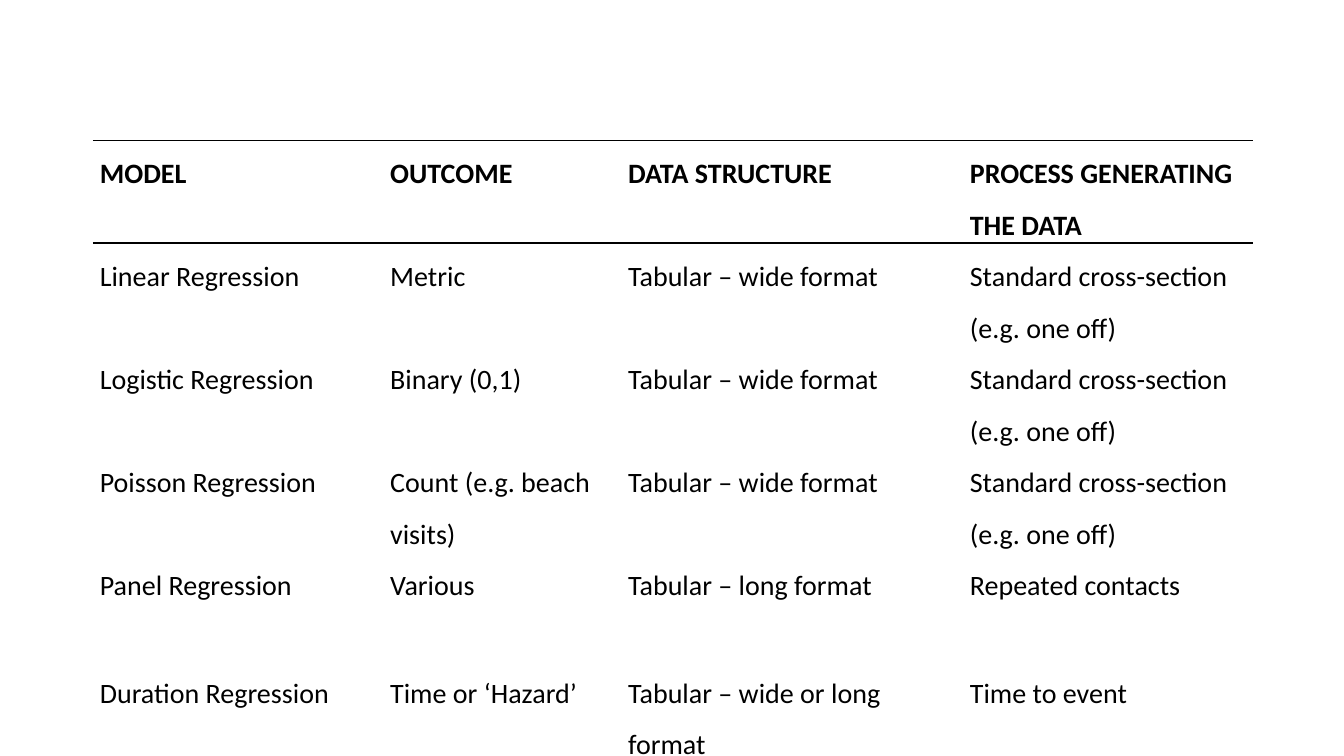
import pptx
import pptx.dml.color
import pptx.oxml.ns
import pptx.util
from lxml import etree
from pptx.util import Inches

BLACK = pptx.dml.color.RGBColor(0x00, 0x00, 0x00)
WIDE = "Tabular – wide format"
CROSS_SECTION = "Standard cross-section (e.g. one off)"

MODELS = [
    ("MODEL", "OUTCOME", "DATA STRUCTURE", "PROCESS GENERATING THE DATA"),
    ("Linear Regression", "Metric", WIDE, CROSS_SECTION),
    ("Logistic Regression", "Binary (0,1)", WIDE, CROSS_SECTION),
    ("Poisson Regression", "Count (e.g. beach visits)", WIDE, CROSS_SECTION),
    ("Panel Regression", "Various", "Tabular – long format", "Repeated contacts"),
    ("Duration Regression", "Time or ‘Hazard’", "Tabular – wide or long format", "Time to event"),
]
COLUMN_WIDTHS = [2.88, 2.36, 3.39, 2.88]
ROW_HEIGHTS = [0.89, 0.89, 0.89, 0.89, 1.07, 0.89]


def set_borders(cell, ruled_sides):
    """Rule the given sides (T, B) in black and clear the others."""
    properties = cell._tc.get_or_add_tcPr()
    for position, side in enumerate("LRTB"):
        border = etree.Element(pptx.oxml.ns.qn(f"a:ln{side}"), w=str(pptx.util.Pt(1)))
        if side in ruled_sides:
            fill = etree.SubElement(border, pptx.oxml.ns.qn("a:solidFill"))
            etree.SubElement(fill, pptx.oxml.ns.qn("a:srgbClr"), val=str(BLACK))
        else:
            etree.SubElement(border, pptx.oxml.ns.qn("a:noFill"))
        properties.insert(position, border)


presentation = pptx.Presentation()
presentation.slide_width = Inches(13.33)
presentation.slide_height = Inches(7.5)
slide = presentation.slides.add_slide(presentation.slide_layouts[6])

model_table = slide.shapes.add_table(
    len(MODELS), len(COLUMN_WIDTHS),
    Inches(0.92), Inches(1.39), Inches(sum(COLUMN_WIDTHS)), Inches(sum(ROW_HEIGHTS)),
).table
model_table.horz_banding = False
for column, width in zip(model_table.columns, COLUMN_WIDTHS):
    column.width = Inches(width)
for row, height in zip(model_table.rows, ROW_HEIGHTS):
    row.height = Inches(height)

ruled_sides_by_row = {0: "TB", 1: "T", len(MODELS) - 1: "B"}
for row_index, model in enumerate(MODELS):
    for column_index, entry in enumerate(model):
        cell = model_table.cell(row_index, column_index)
        cell.fill.background()
        cell.margin_left = cell.margin_right = Inches(0.07)
        cell.margin_top = cell.margin_bottom = 0
        set_borders(cell, ruled_sides_by_row.get(row_index, ""))

        cell.text_frame.text = entry
        paragraph = cell.text_frame.paragraphs[0]
        paragraph.line_spacing = 1.5
        font = paragraph.runs[0].font
        font.name = "Calibri"
        font.size = pptx.util.Pt(20)
        font.bold = row_index == 0
        font.color.rgb = BLACK

presentation.save("out.pptx")
